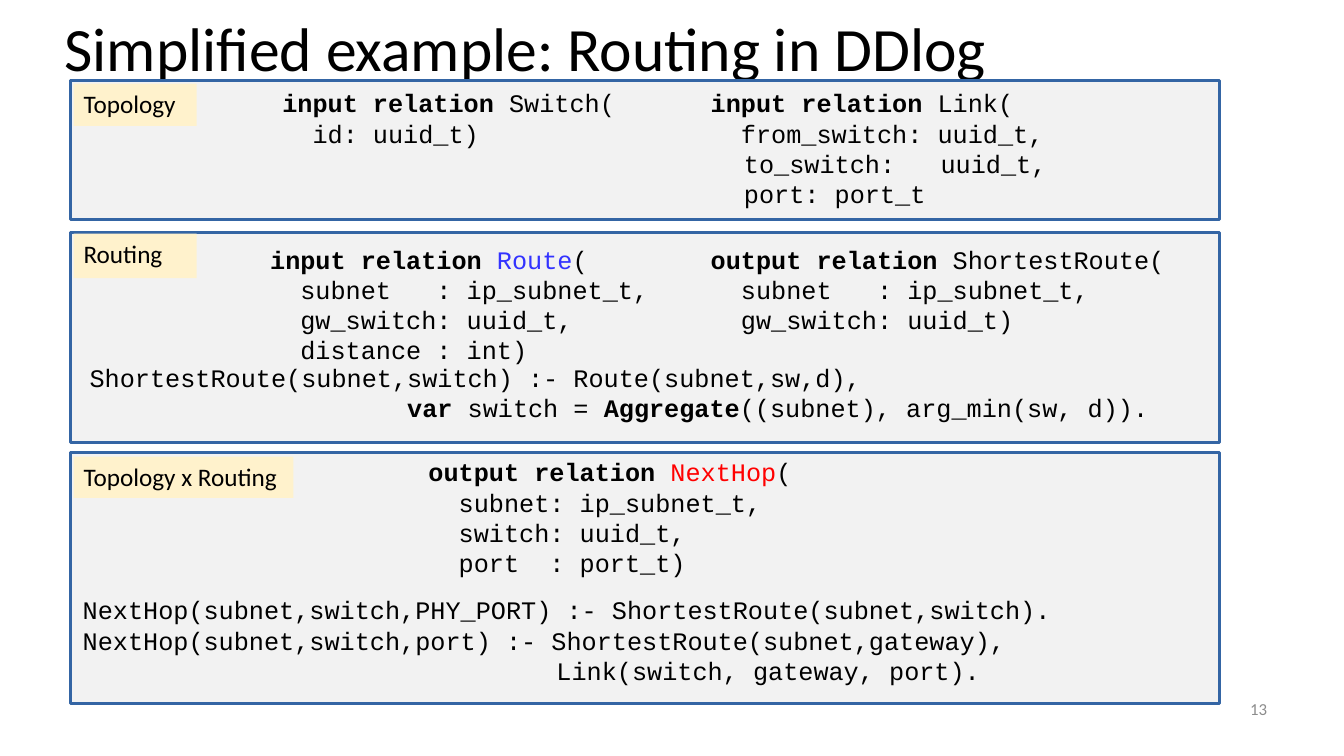
from pptx import Presentation
from pptx import util as u
from pptx.dml.color import RGBColor
from pptx.enum import shapes, text

BOLD = {"bold": True}
MONO = {"name": "Courier New", "size": u.Pt(18)}
SANS = {"name": "Calibri", "size": u.Pt(18)}
INDENT = 8.64


def rgb(value):
    """Turn a hex string into a colour."""
    return RGBColor.from_string(value)


def add_run(p, words, fmt, color="000000"):
    """Add one formatted run to a paragraph."""
    r = p.add_run()
    r.text = words
    for key, value in fmt.items():
        setattr(r.font, key, value)
    r.font.color.rgb = rgb(color)


def set_frame(tf, inset_x=0, inset_y=0, anchor=text.MSO_ANCHOR.TOP):
    """Set wrapping, insets and anchor of a text frame."""
    frame = {"word_wrap": True, "vertical_anchor": anchor,
             "margin_left": u.Pt(inset_x), "margin_right": u.Pt(inset_x),
             "margin_top": u.Pt(inset_y), "margin_bottom": u.Pt(inset_y)}
    for key, value in frame.items():
        setattr(tf, key, value)


def add_rect(s, box, fill, line=None):
    """Draw a flat rectangle, outlined when a line colour is given."""
    sp = s.shapes.add_shape(shapes.MSO_SHAPE.RECTANGLE, *map(u.Pt, box))
    sp.shadow.inherit = False
    sp.fill.solid()
    sp.fill.fore_color.rgb = rgb(fill)
    if line:
        sp.line.color.rgb = rgb(line)
        sp.line.width = u.Pt(2.3)
    else:
        sp.line.fill.background()
    return sp


def add_code(s, box, lines):
    """Place code; a line is a string or (indent, runs of (words, format, colour))."""
    tf = s.shapes.add_textbox(*map(u.Pt, box)).text_frame
    set_frame(tf)
    for i, line in enumerate(lines):
        p = tf.paragraphs[0] if i == 0 else tf.add_paragraph()
        indent, runs = (INDENT, [(line, {})]) if isinstance(line, str) else line
        p._p.get_or_add_pPr().set("marL", str(u.Pt(indent)))
        for words, fmt, *color in runs:
            add_run(p, words, MONO | fmt, *color)


def add_panel(s, box, label, label_w, label_dy, label_h):
    """Draw a framed panel with a tag in its top left corner."""
    x, y, w, h = box
    add_rect(s, box, "F2F2F2", "3465A4")
    tag = add_rect(s, (x + 2.2, y + label_dy, label_w, label_h), "FFF2CC")
    set_frame(tag.text_frame, 7.2, 3.6)
    p = tag.text_frame.paragraphs[0]
    p.alignment = text.PP_ALIGN.LEFT
    add_run(p, label, SANS)


def add_line_text(s, box, words, size, color, align, inset=0, spacing=1.0):
    """Place a single vertically centred line."""
    tf = s.shapes.add_textbox(*map(u.Pt, box)).text_frame
    set_frame(tf, inset, inset / 2, text.MSO_ANCHOR.MIDDLE)
    p = tf.paragraphs[0]
    p.alignment = align
    p.line_spacing = spacing
    add_run(p, words, SANS | {"size": u.Pt(size)}, color)


def topology(s, box):
    """Build the topology panel."""
    x, y, w, h = box
    add_panel(s, box, "Topology", 87.84, 2.2, 30.2)
    add_code(s, (x + 142.6, y + 5, 318, 67), [
        (INDENT, [("input relation ", BOLD), ("Switch(", {})]),
        "  id: uuid_t)"])
    add_code(s, (x + 448.6, y + 5, 276, 67), [
        (INDENT, [("input relation ", BOLD), ("Link(", {})]),
        "  from_switch: uuid_t,",
        (0, [("   to_switch:   uuid_t,", {})]),
        (0, [("   port: port_t", {})])])


def routing(s, box):
    """Build the routing panel."""
    x, y, w, h = box
    add_panel(s, box, "Routing", 87.84, 0.7, 31.7)
    add_code(s, (x + 133.9, y + 7.9, 290, 93), [
        (INDENT, [("input relation ", BOLD), ("Route", {}, "3333FF"), ("(", {})]),
        "  subnet   : ip_subnet_t,",
        "  gw_switch: uuid_t,",
        "  distance : int)"])
    add_code(s, (x + 448.6, y + 7.9, 347, 93), [
        (INDENT, [("output relation ", BOLD), ("ShortestRoute(", {})]),
        "  subnet   : ip_subnet_t,",
        "  gw_switch: uuid_t)"])
    add_code(s, (x + 5, y + 92.2, w, 47.5), [
        "ShortestRoute(subnet,switch) :- Route(subnet,sw,d),",
        (INDENT, [("                     ", {}), ("var", BOLD), (" switch = ", {}),
                  ("Aggregate", BOLD), ("((subnet), arg_min(sw, d)).", {})])])


def next_hop(s, box):
    """Build the panel that joins topology and routing."""
    x, y, w, h = box
    add_panel(s, box, "Topology x Routing", 157, 2.9, 29.5)
    add_code(s, (x + 247, y + 2.9, 276, 84), [
        (INDENT, [("output relation ", BOLD), ("NextHop", {}, "FF0000"), ("(", {})]),
        "  subnet: ip_subnet_t,",
        "  switch: uuid_t,",
        "  port  : port_t)"])
    add_code(s, (x, y + 101.5, w - 6.5, 72), [
        "NextHop(subnet,switch,PHY_PORT) :- ShortestRoute(subnet,switch).",
        "NextHop(subnet,switch,port) :- ShortestRoute(subnet,gateway),",
        (33.84, [("                             Link(switch, gateway, port).", {})])])


def main():
    """Build and save the slide."""
    prs = Presentation()
    prs.slide_width, prs.slide_height = u.Pt(960), u.Pt(540)
    s = prs.slides.add_slide(prs.slide_layouts[6])
    add_line_text(s, (46.1, 21.6, 866, 30.2), "Simplified example: Routing in DDlog",
                  44, "000000", text.PP_ALIGN.LEFT, spacing=0.9)
    panels = [(topology, 57.6, 99.4), (routing, 166.3, 149.8), (next_hop, 323.3, 179.3)]
    for build, top, height in panels:
        build(s, (50.4, top, 820.8, height))
    add_line_text(s, (696.2, 491.8, 216, 28.8), "13", 12, "8C8C8C",
                  text.PP_ALIGN.RIGHT, inset=7.2)
    prs.save("out.pptx")


if __name__ == "__main__":
    main()
